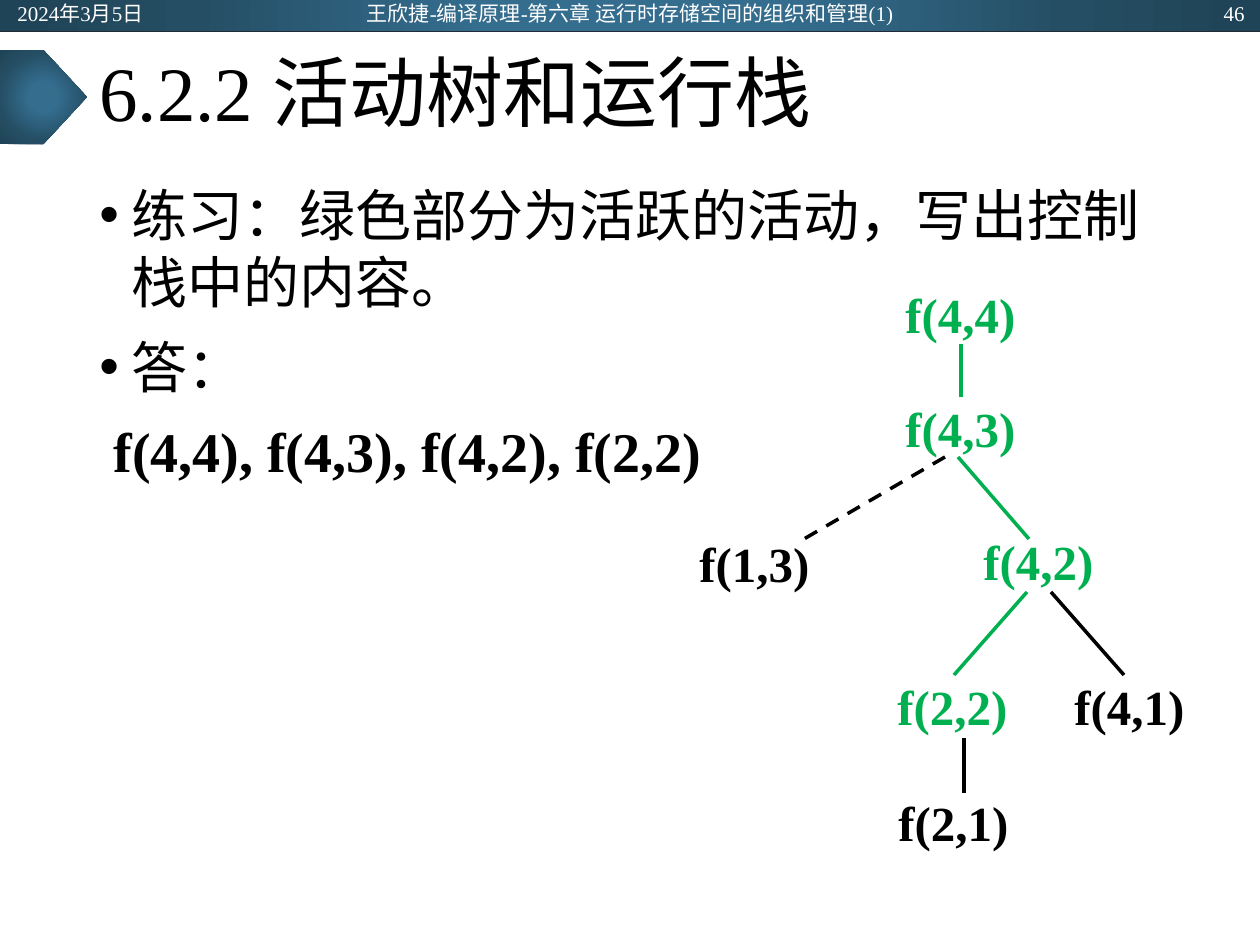
from lxml.etree import SubElement
from pptx import Presentation
from pptx.dml.color import RGBColor
from pptx.enum.dml import MSO_LINE
from pptx.enum.shapes import MSO_CONNECTOR, MSO_SHAPE
from pptx.enum.text import MSO_ANCHOR as ANCHOR, PP_ALIGN as ALIGN
from pptx.oxml import parse_xml
from pptx.oxml.ns import nsdecls, qn
from pptx.util import Pt

PX = 914400 / 126
FONT = "Times New Roman"
COLORS = {"black": "000000", "white": "FFFFFF", "active": "00B050", "rule": "222A35"}
GRADIENT = [(0, "346D8E"), (23, "346D8E"), (69, "254E64"), (97, "204457")]

# Content: lengths are in px
HEADER = [  # text, left, width, alignment
    ("2024年3月5日", 5, 284, ALIGN.LEFT),
    ("王欣捷-编译原理-第六章 运行时存储空间的组织和管理(1)", 325, 610, ALIGN.CENTER),
    ("46", 973, 284, ALIGN.RIGHT),
]
TITLE = "6.2.2 活动树和运行栈"
BODY = [  # text, bulleted
    ("练习：绿色部分为活跃的活动，写出控制栈中的内容。", True),
    ("答：", True),
    ("f(4,4), f(4,3), f(4,2), f(2,2)", False),
]
BULLET_INDENT, ANSWER_INDENT = 32, 14
ACTIVATIONS = [  # call, left, top, colour
    ("f(4,4)", 893, 278, "active"),
    ("f(4,3)", 893, 392, "active"),
    ("f(1,3)", 687, 527, "black"),
    ("f(4,2)", 971, 525, "active"),
    ("f(2,2)", 885, 670, "active"),
    ("f(4,1)", 1062, 670, "black"),
    ("f(2,1)", 886, 786, "black"),
]
CALL_SIZE = (158, 96)
BRANCHES = [  # x1, y1, x2, y2, colour, dashed
    (961, 344, 961, 397, "active", False),
    (945, 457, 804, 539, "black", True),
    (958, 457, 1029, 539, "active", False),
    (1027, 592, 954, 675, "active", False),
    (1051, 592, 1124, 675, "black", False),
    (964, 738, 964, 793, "black", False),
]


def px(*lengths):
    return [round(length * PX) for length in lengths]


def style(paragraph, size, color, bold=False):
    for run in paragraph.runs:
        run.font.name, run.font.size, run.font.bold = FONT, Pt(size), bold
        run.font.color.rgb = RGBColor.from_string(COLORS[color])


def add_text(box, text, size, color, align=ALIGN.LEFT, anchor=ANCHOR.TOP, bold=False):
    frame = slide.shapes.add_textbox(*px(*box)).text_frame
    frame.word_wrap, frame.vertical_anchor = True, anchor
    frame.text = text
    paragraph = frame.paragraphs[0]
    paragraph.alignment = align
    style(paragraph, size, color, bold)
    return frame


def add_line(ends, color, width, dashed=False):
    line = slide.shapes.add_connector(MSO_CONNECTOR.STRAIGHT, *px(*ends))
    line.line.color.rgb = RGBColor.from_string(COLORS[color])
    line.line.width = Pt(width)
    if dashed:
        line.line.dash_style = MSO_LINE.DASH
    SubElement(line.element.spPr, qn("a:effectLst"))


def add_glow_shape(kind, box):
    shape = slide.shapes.add_shape(kind, *px(*box))
    shape.shadow.inherit = False
    shape.line.fill.background()
    stops = "".join(
        f'<a:gs pos="{pos * 1000}"><a:srgbClr val="{color}"/></a:gs>'
        for pos, color in GRADIENT
    )
    # Radial gradient goes right after the geometry
    shape.element.spPr.find(qn("a:prstGeom")).addnext(parse_xml(
        f'<a:gradFill {nsdecls("a")} rotWithShape="1"><a:gsLst>{stops}</a:gsLst>'
        '<a:path path="circle"><a:fillToRect l="50000" t="50000" r="50000" b="50000"/>'
        "</a:path></a:gradFill>"
    ))


def indent(paragraph, left, bulleted):
    props = paragraph._p.get_or_add_pPr()
    margin, = px(left)
    props.set("marL", str(margin))
    props.set("indent", str(-margin if bulleted else 0))
    if bulleted:
        SubElement(props, qn("a:buFont"), typeface="Arial")
        SubElement(props, qn("a:buChar"), char="•")
    else:
        SubElement(props, qn("a:buNone"))


prs = Presentation()
prs.slide_width, prs.slide_height = px(1260, 945)
slide = prs.slides.add_slide(prs.slide_layouts[6])

# Header band and title marker
add_glow_shape(MSO_SHAPE.RECTANGLE, (0, 0, 1260, 31))
add_line((0, 31, 1260, 31), "rule", 0.5)
add_glow_shape(MSO_SHAPE.PENTAGON, (0, 50, 87, 94))
for text, left, width, align in HEADER:
    add_text((left, 1, width, 25), text, 12, "white", align, ANCHOR.MIDDLE)

# Title
title = add_text((87, 31, 1086, 131), TITLE, 44, "black", anchor=ANCHOR.MIDDLE)
title.paragraphs[0].line_spacing = 0.9

# Exercise and answer
exercise = add_text((87, 174, 1086, 678), "\n".join(text for text, _ in BODY), 32, "black")
for index, (paragraph, (_, bulleted)) in enumerate(zip(exercise.paragraphs, BODY)):
    indent(paragraph, BULLET_INDENT if bulleted else ANSWER_INDENT, bulleted)
    if index:
        paragraph.space_before = Pt(10)
    style(paragraph, 32, "black", bold=not bulleted)

# Activation tree
for *ends, color, dashed in BRANCHES:
    add_line(ends, color, 2, dashed)
for call, left, top, color in ACTIVATIONS:
    add_text((left, top, *CALL_SIZE), call, 28, color, ALIGN.JUSTIFY, bold=True)

prs.save("out.pptx")
